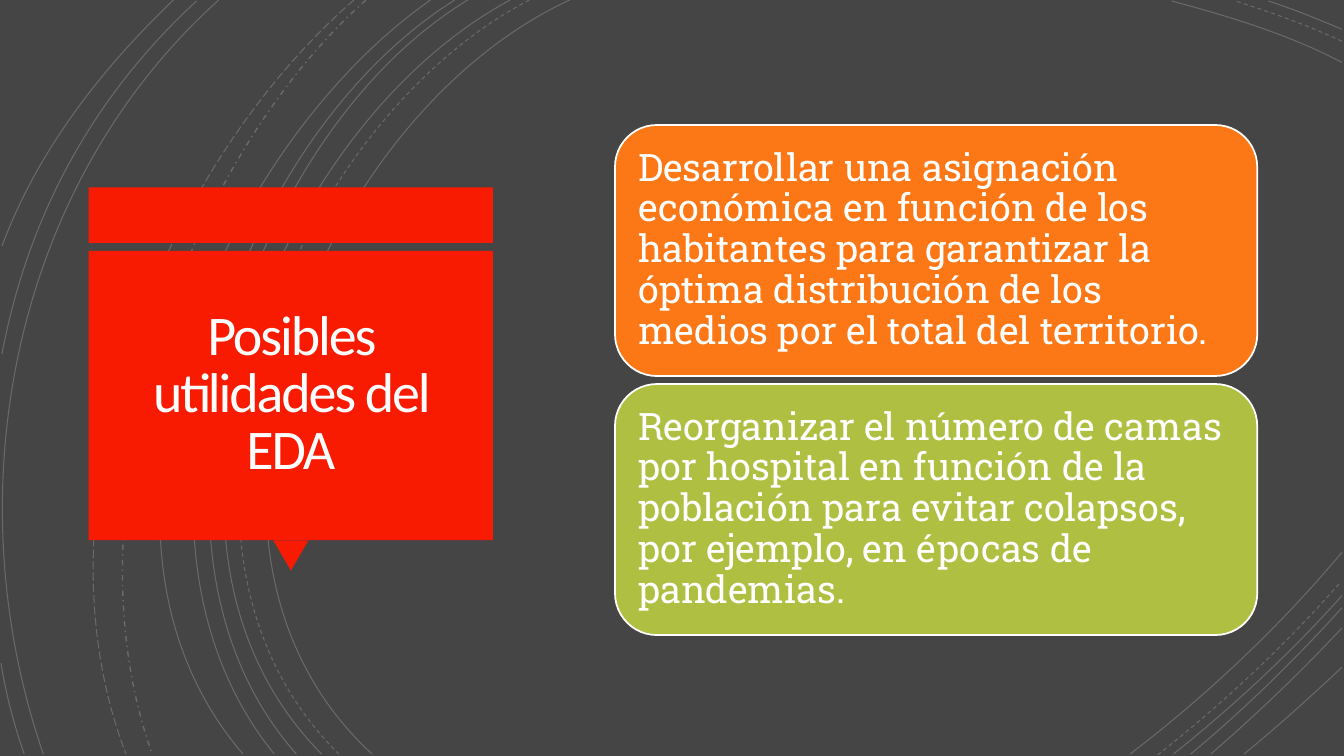
from dataclasses import dataclass

from lxml.etree import SubElement
from pptx import Presentation
from pptx.dml.color import RGBColor as RGB
from pptx.enum.dml import MSO_LINE as Dash
from pptx.enum.shapes import MSO_SHAPE as Shape
from pptx.enum.text import MSO_ANCHOR as Anchor, PP_ALIGN as Align
from pptx.oxml.ns import qn
from pptx.util import Inches, Pt


@dataclass(frozen=True)
class Theme:
    back: RGB = RGB(0x45, 0x45, 0x45)
    red: RGB = RGB(0xF8, 0x1B, 0x02)
    orange: RGB = RGB(0xFC, 0x77, 0x15)
    green: RGB = RGB(0xAF, 0xBF, 0x41)
    white: RGB = RGB(0xFF, 0xFF, 0xFF)
    title: RGB = RGB(0xFF, 0xFE, 0xFF)
    head_font: str = "Calibri"
    body_font: str = "Roboto Slab"
    head_size: int = 40
    body_size: int = 27
    edge: float = 1.25
    arc: float = 0.75
    arc_alpha: int = 20


THEME = Theme()

# Each arc: start, two control points and end, as x, y pairs
SOLID = [
    (5.65, 0, 3.15, 1.15, 1.43, 5.4, 3.69, 7.48),
    (5.06, 0, 2.7, 1.27, 1.1, 5.37, 3.19, 7.48),
    (4.64, 0, 2.44, 1.33, 1.1, 5.41, 2.94, 7.48),
    (4.51, 0, 2.31, 1.38, 0.97, 5.33, 2.72, 7.48),
    (4.27, 0, 2.17, 1.47, 0.53, 5.29, 2.41, 7.48),
    (2.17, 0, 0.11, 1.85, -0.46, 4.9, 0.43, 7.48),
    (1.95, 0.01, 0.92, 0.96, 0.28, 2.14, 0.02, 3.51),
    (1.72, 0, 1, 0.69, 0.37, 1.5, 0.02, 2.44),
    (0.01, 6.58, 0.06, 6.89, 0.14, 7.19, 0.24, 7.48),
    (13.31, 0.62, 12.78, 0.34, 12.18, 0.16, 11.62, 0.01),
    (13.31, 0.29, 13.07, 0.19, 12.83, 0.09, 12.58, 0.01),
    (11.21, 7.48, 11.97, 6.9, 12.69, 6.22, 13.31, 5.48),
    (11.64, 7.48, 12.23, 7.01, 12.8, 6.48, 13.31, 5.91),
    (11.81, 7.48, 12.34, 7.04, 12.84, 6.55, 13.31, 6.03),
    (12.01, 7.48, 12.46, 7.09, 12.9, 6.67, 13.31, 6.23),
    (12.34, 7.48, 12.67, 7.21, 12.99, 6.92, 13.31, 6.62),
]
DASHED = [
    (5.25, 0, 2.85, 1.25, 1.23, 5.37, 3.36, 7.48),
    (13.31, 0.41, 12.97, 0.25, 12.6, 0.12, 12.25, 0.01),
    (11.48, 7.49, 12.13, 6.98, 12.75, 6.4, 13.3, 5.77),
]
DOTTED = [(3.63, 0, 1.76, 1.66, 0.65, 5.09, 1.51, 7.48)]
LONG = [(3.51, 0, 1.57, 1.69, 0.29, 4.99, 1.25, 7.48)]
ARCS = [(SOLID, Dash.SOLID, THEME.arc), (DASHED, Dash.DASH, THEME.arc),
        (DOTTED, Dash.DASH_DOT, 1), (LONG, Dash.LONG_DASH, THEME.arc)]

CARDS = [
    ("Desarrollar una asignación económica en función de los habitantes "
     "para garantizar la óptima distribución de los medios por el total "
     "del territorio.", THEME.orange),
    ("Reorganizar el número de camas por hospital en función de la "
     "población para evitar colapsos, por ejemplo, en épocas de "
     "pandemias.", THEME.green),
]


def add_block(slide, kind, box, fill, edge=None):
    block = slide.shapes.add_shape(kind, *map(Inches, box))
    block.shadow.inherit = False
    block.fill.solid()
    block.fill.fore_color.rgb = fill
    if edge is None:
        block.line.fill.background()
    else:
        block.line.color.rgb = edge
        block.line.width = Pt(THEME.edge)
    return block


def add_text(slide, box, text, inset, name, size, color, lead):
    frame = slide.shapes.add_textbox(*map(Inches, box)).text_frame
    frame.word_wrap = True
    frame.vertical_anchor = Anchor.MIDDLE
    frame.margin_left = frame.margin_right = Inches(inset)
    frame.margin_top = frame.margin_bottom = Inches(inset)
    frame.text = text
    para = frame.paragraphs[0]
    para.line_spacing = lead
    font = para.runs[0].font
    font.name, font.size, font.color.rgb = name, Pt(size), color
    return para


def add_arc(slide, coords, dash, width):
    points = [(Inches(x), Inches(y))
              for x, y in zip(coords[::2], coords[1::2])]
    build = slide.shapes.build_freeform(*points[0])
    build.add_line_segments(points[1:], close=False)
    arc = build.convert_to_shape()
    arc.shadow.inherit = False
    arc.fill.background()
    arc.line.color.rgb = THEME.white
    arc.line.width = Pt(width)
    arc.line.dash_style = dash
    # Fade the line
    tint = next(arc.line._get_or_add_ln().iter(qn("a:srgbClr")))
    SubElement(tint, qn("a:alpha"), val=str(THEME.arc_alpha * 1000))
    # Bend the three segments into one Bézier curve
    track = next(arc._element.iter(qn("a:path")))
    curve = SubElement(track, qn("a:cubicBezTo"))
    for step in track.findall(qn("a:lnTo")):
        curve.append(step[0])
        track.remove(step)


def add_backdrop(slide):
    fill = slide.background.fill
    fill.solid()
    fill.fore_color.rgb = THEME.back
    for group, dash, width in ARCS:
        for coords in group:
            add_arc(slide, coords, dash, width)


def add_title(slide, box, text):
    left, top, width, height = box
    bar, gap, tip_w, tip_h = 0.55, 0.08, 0.35, 0.3
    body = top + bar + gap
    body_h = height - bar - gap - tip_h
    # Bar, pointer and panel
    add_block(slide, Shape.RECTANGLE, (left, top, width, bar), THEME.red)
    tip = add_block(slide, Shape.ISOSCELES_TRIANGLE,
                    (left + (width - tip_w) / 2, body + body_h, tip_w, tip_h),
                    THEME.red)
    tip.rotation = 180
    add_block(slide, Shape.RECTANGLE, (left, body, width, body_h), THEME.red)
    # Heading
    pad = 0.09
    para = add_text(slide, (left + pad, body + pad, width - 2 * pad,
                            body_h - 2 * pad), text, 0.25, THEME.head_font,
                    THEME.head_size, THEME.title, 0.85)
    para.alignment = Align.CENTER
    para.runs[0].font._element.set("spc", "-150")


def add_cards(slide, box, cards):
    left, top, width, height = box
    gap, pad = 0.08, 0.12
    tall = (height - gap * (len(cards) - 1)) / len(cards)
    for i, (text, fill) in enumerate(cards):
        y = top + i * (tall + gap)
        add_block(slide, Shape.ROUNDED_RECTANGLE, (left, y, width, tall),
                  fill, THEME.white)
        add_text(slide, (left + pad, y + pad, width - 2 * pad,
                         tall - 2 * pad), text, 0.11, THEME.body_font,
                 THEME.body_size, THEME.white, 0.9)


def main():
    deck = Presentation()
    deck.slide_width, deck.slide_height = Inches(13.33), Inches(7.5)
    slide = deck.slides.add_slide(deck.slide_layouts[6])
    add_backdrop(slide)
    add_title(slide, (0.88, 1.86, 4.01, 3.8), "Posibles utilidades del EDA")
    add_cards(slide, (6.1, 1.24, 6.37, 5.06), CARDS)
    deck.save("out.pptx")


if __name__ == "__main__":
    main()
